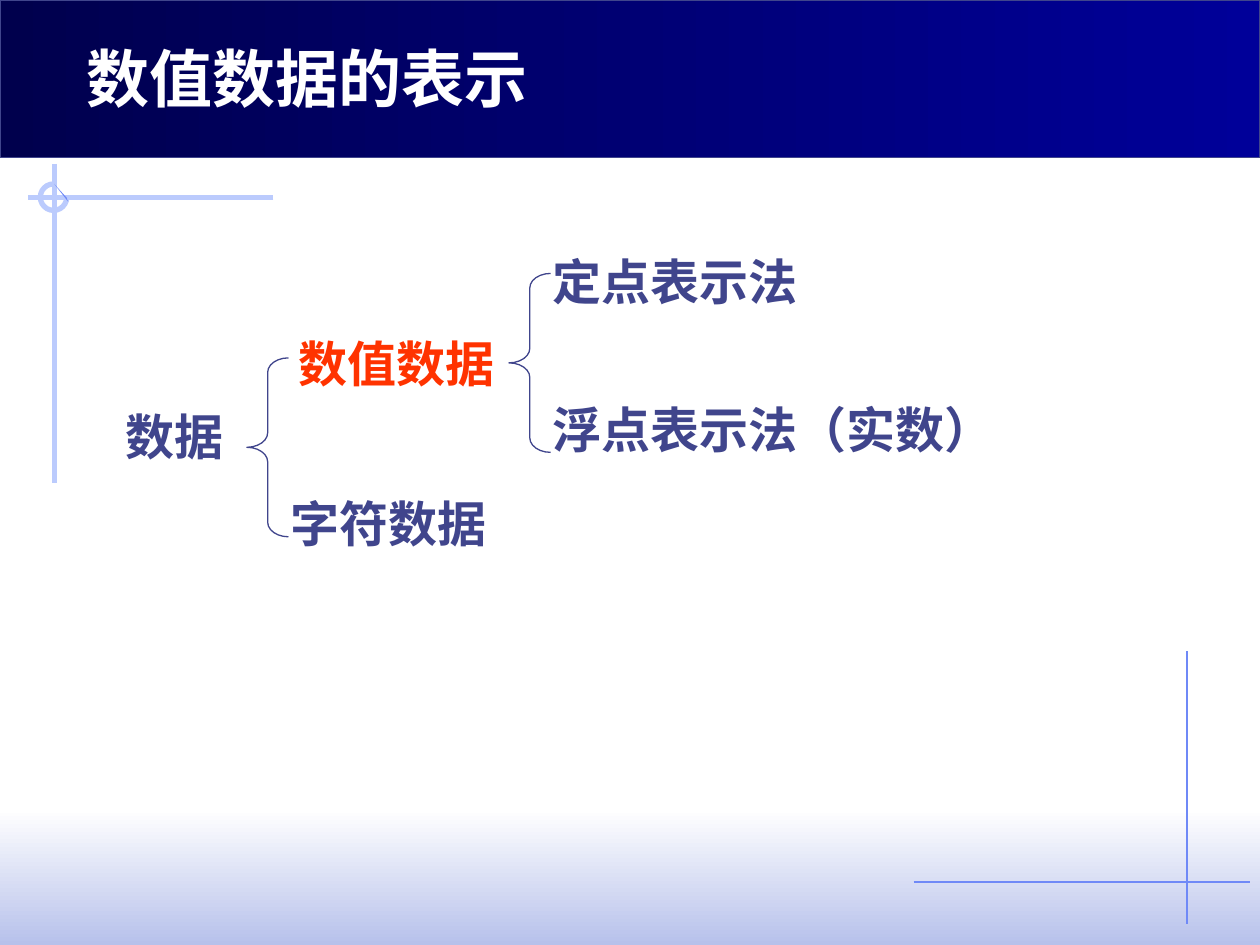
import pptx
import pptx.util
import pptx.dml.color
import pptx.enum.shapes
import pptx.enum.text
import pptx.oxml
import pptx.oxml.ns

COLORS = {"ink": "40458C", "accent": "FF3300", "white": "FFFFFF",
          "navy": "00004D", "blue": "000099", "haze": "B7C1EB",
          "thin": "6F89F7", "thick": "BBCBFD"}
RGB = {name: pptx.dml.color.RGBColor.from_string(h) for name, h in COLORS.items()}
SHAPE = pptx.enum.shapes.MSO_SHAPE

prs = pptx.Presentation()
prs.slide_width = pptx.util.Inches(10)
prs.slide_height = pptx.util.Inches(7.5)
CELL = prs.slide_width / 100  # square grid, 100 columns by 75 rows
s = prs.slides.add_slide(prs.slide_layouts[5])


def grid(*cells):
    return [round(c * CELL) for c in cells]


def write(sp, text, size, color):
    tf = sp.text_frame
    tf.text = text
    tf.word_wrap = False
    tf.auto_size = pptx.enum.text.MSO_AUTO_SIZE.SHAPE_TO_FIT_TEXT
    tf.vertical_anchor = pptx.enum.text.MSO_ANCHOR.TOP
    p = tf.paragraphs[0]
    p.alignment = pptx.enum.text.PP_ALIGN.LEFT
    p.font.name = "Times New Roman"
    p.font.size = pptx.util.Pt(size)
    p.font.bold = True
    p.font.color.rgb = RGB[color]


# Gradient bands: title bar and foot of the slide
for top, height, start, end, angle, border in [
        (64.2, 10.8, "white", "haze", 270, None),
        (0, 12.5, "navy", "blue", 0, "ink")]:
    sp = s.shapes.add_shape(SHAPE.RECTANGLE, *grid(0, top, 100, height))
    sp.shadow.inherit = False
    sp.fill.gradient()
    sp.fill.gradient_angle = angle
    for stop, color in zip(sp.fill.gradient_stops, (start, end)):
        stop.color.rgb = RGB[color]
    if border:
        sp.line.color.rgb = RGB[border]
        sp.line.width = pptx.util.Pt(0.75)
    else:
        sp.line.fill.background()

# Crossed lines in two corners
for x1, y1, x2, y2, color, width in [
        (94.2, 51.7, 94.2, 73.3, "thin", 0.75),
        (72.5, 70, 99.2, 70, "thin", 0.75),
        (21.7, 15.7, 2.2, 15.7, "thick", 3),
        (4.3, 13, 4.3, 38.3, "thick", 3)]:
    line = s.shapes.add_connector(pptx.enum.shapes.MSO_CONNECTOR.STRAIGHT,
                                  *grid(x1, y1, x2, y2))
    line.line.color.rgb = RGB[color]
    line.line.width = pptx.util.Pt(width)
    line.element.spPr.append(pptx.oxml.parse_xml(
        f'<a:effectLst {pptx.oxml.ns.nsdecls("a")}/>'))

# Three-quarter ring at the crossing, closed by a sliver
sp = s.shapes.add_shape(SHAPE.ARC, *grid(3.2, 14.6, 2.1, 2.1))
sp.shadow.inherit = False
sp.adjustments[0] = 0
sp.adjustments[1] = 270 * 0.6  # degrees in 60000ths, over 100000
sp.fill.background()
sp.line.color.rgb = RGB["thick"]
sp.line.width = pptx.util.Pt(3)
fb = s.shapes.build_freeform(*grid(4.3, 14.6))
fb.add_line_segments([grid(5.3, 15.7), grid(5.4, 16)])
sp = fb.convert_to_shape()
sp.shadow.inherit = False
sp.fill.solid()
sp.fill.fore_color.rgb = RGB["thin"]
sp.line.fill.background()

# Title, brought in front of its bar
title = s.shapes.title
title.left, title.top, title.width, title.height = grid(5.9, 2.6, 40, 7.1)
write(title, "数值数据的表示", 36, "white")
s.shapes.element.append(title.element)

# Tree labels
for left, top, width, text, color in [
        (9, 31.8, 9.8, "数据", "ink"),
        (22.7, 26, 17.6, "数值数据", "accent"),
        (22.1, 38.7, 17.6, "字符数据", "ink"),
        (42.9, 19.5, 21.5, "定点表示法", "ink"),
        (42.9, 31.2, 37, "浮点表示法（实数）", "ink")]:
    write(s.shapes.add_textbox(*grid(left, top, width, 5.7)), text, 28, color)

# Braces between the levels
for left, top in [(19.6, 28.4), (40.4, 21.7)]:
    sp = s.shapes.add_shape(SHAPE.LEFT_BRACE, *grid(left, top, 3.3, 14.2))
    sp.shadow.inherit = False
    sp.adjustments[0] = 0.35
    sp.fill.background()
    sp.line.color.rgb = RGB["ink"]
    sp.line.width = pptx.util.Pt(0.75)

prs.save("out.pptx")
